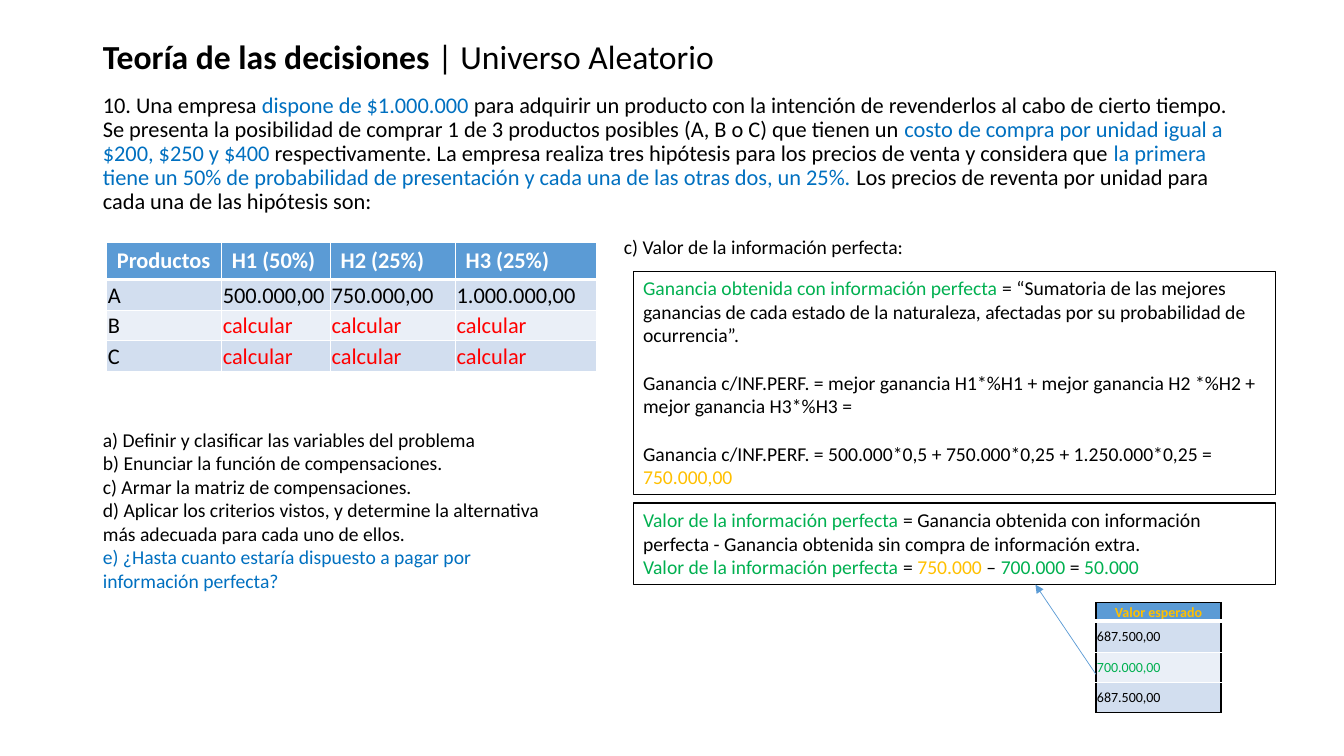
from dataclasses import dataclass
from lxml import etree
from pptx import Presentation
from pptx.dml.color import RGBColor
from pptx.enum.shapes import MSO_CONNECTOR, MSO_SHAPE
from pptx.enum.text import MSO_ANCHOR, MSO_AUTO_SIZE, PP_ALIGN
from pptx.oxml.ns import qn
from pptx.util import Inches, Pt

TOP, MIDDLE = MSO_ANCHOR.TOP, MSO_ANCHOR.MIDDLE
LEFT, CENTER = PP_ALIGN.LEFT, PP_ALIGN.CENTER
NO_FIT = MSO_AUTO_SIZE.NONE
RECTANGLE, STRAIGHT = MSO_SHAPE.RECTANGLE, MSO_CONNECTOR.STRAIGHT


@dataclass(frozen=True)
class Theme:
    font: str = "Calibri"
    black: str = "000000"
    white: str = "FFFFFF"
    blue: str = "0070C0"
    green: str = "00B050"
    amber: str = "FFC000"
    red: str = "FF0000"
    header: str = "5B9BD5"
    bands: tuple = ("D2DEEF", "EAEFF7")
    title: int = 24
    statement: int = 16
    text: int = 14
    small: int = 10
    blank_line: int = 17


THEME = Theme()
BLACK, BLUE, GREEN, AMBER = THEME.black, THEME.blue, THEME.green, THEME.amber

TITLE = [[("Teoría de las decisiones ", BLACK, True), ("| Universo Aleatorio", BLACK)]]
STATEMENT = [[
    ("10. Una empresa ", BLACK),
    ("dispone de $1.000.000 ", BLUE),
    ("para adquirir un producto con la intención de revenderlos al cabo de cierto tiempo. "
     "Se presenta la posibilidad de comprar 1 de 3 productos posibles (A, B o C) que tienen un ", BLACK),
    ("costo de compra por unidad igual a $200, $250 y $400 ", BLUE),
    ("respectivamente. La empresa realiza tres hipótesis para los precios de venta y considera que ", BLACK),
    ("la primera tiene un 50% de probabilidad de presentación y cada una de las otras dos, un 25%.", BLUE),
    (" Los precios de reventa por unidad para cada una de las hipótesis son:", BLACK),
]]
QUESTIONS = [
    [("a) Definir y clasificar las variables del problema", BLACK)],
    [("b) Enunciar la función de compensaciones.", BLACK)],
    [("c) Armar la matriz de compensaciones.", BLACK)],
    [("d) Aplicar los criterios vistos, y determine la alternativa más adecuada para cada uno de ellos.", BLACK)],
    [("e) ¿Hasta cuanto estaría dispuesto a pagar por información perfecta?", BLUE)],
]
SUBTITLE = [[("c) Valor de la información perfecta:", BLACK)]]
PERFECT_GAIN = [
    [("Ganancia obtenida con información perfecta ", GREEN),
     ("= “Sumatoria de las mejores ganancias de cada estado de la naturaleza, "
      "afectadas por su probabilidad de ocurrencia”.", BLACK)],
    [("Ganancia c/INF.PERF. = mejor ganancia H1*%H1 + mejor ganancia H2 *%H2 + mejor ganancia H3*%H3 =", BLACK)],
    [("Ganancia c/INF.PERF. = 500.000*0,5 + 750.000*0,25 + 1.250.000*0,25 = ", BLACK),
     ("750.000,00", AMBER)],
]
PERFECT_VALUE = [
    [("Valor de la información perfecta ", GREEN),
     ("= Ganancia obtenida con información perfecta - Ganancia obtenida sin compra de información extra.", BLACK)],
    [("Valor de la información perfecta ", GREEN), ("= ", BLACK), ("750.000", AMBER),
     (" – ", BLACK), ("700.000", GREEN), (" = ", BLACK), ("50.000", GREEN)],
]
PAYOFFS = [
    ["Productos", "H1 (50%)", "H2 (25%)", "H3 (25%)"],
    ["A", "500.000,00", "750.000,00", "1.000.000,00"],
    ["B", "calcular", "calcular", "calcular"],
    ["C", "calcular", "calcular", "calcular"],
]
EXPECTED = [["Valor esperado"], ["687.500,00"], ["700.000,00"], ["687.500,00"]]
HIGHLIGHTS = {"calcular": THEME.red, "700.000,00": GREEN, "Valor esperado": AMBER}
BODY_ROWS = [0.31, 0.3, 0.3]


def rgb(color):
    return RGBColor.from_string(color)


def write(frame, paragraphs, size, anchor=TOP, align=LEFT, before=0, gap=0, spacing=1.0):
    frame.word_wrap = True
    frame.auto_size = NO_FIT
    frame.vertical_anchor = anchor
    for index, runs in enumerate(paragraphs):
        paragraph = frame.add_paragraph() if index else frame.paragraphs[0]
        paragraph.alignment = align
        paragraph.line_spacing = spacing
        paragraph.space_before = Pt(gap if index else before)
        paragraph.space_after = Pt(0)
        properties = paragraph._p.get_or_add_pPr()
        properties.set("marL", "0")
        properties.set("indent", "0")
        etree.SubElement(properties, qn("a:buNone"))
        for text, color, *bold in runs:
            run = paragraph.add_run()
            run.text = text
            run.font.name = THEME.font
            run.font.size = Pt(size)
            run.font.bold = bool(bold)
            run.font.color.rgb = rgb(color)


def place(shape, left, top, width, height):
    shape.left, shape.top = Inches(left), Inches(top)
    shape.width, shape.height = Inches(width), Inches(height)
    return shape


def add_box(slide, area, paragraphs, gap=0):
    box = slide.shapes.add_shape(RECTANGLE, *map(Inches, area))
    box.shadow.inherit = False
    box.fill.background()
    box.line.color.rgb = rgb(BLACK)
    box.line.width = Pt(0.75)
    write(box.text_frame, paragraphs, THEME.text, gap=gap)


def set_border(cell, side, color, width):
    line = etree.SubElement(cell._tc.get_or_add_tcPr(), qn("a:ln" + side), w=str(Pt(width)))
    fill = etree.SubElement(line, qn("a:solidFill"))
    etree.SubElement(fill, qn("a:srgbClr"), val=color)


def add_grid(slide, left, top, rows, widths, header_height, size, outline, padded_header, header_align):
    heights = [header_height, *BODY_ROWS]
    frame = slide.shapes.add_table(len(rows), len(widths), Inches(left), Inches(top),
                                   Inches(sum(widths)), Inches(sum(heights)))
    grid = frame.table
    for column, width in zip(grid.columns, widths):
        column.width = Inches(width)
    for r, (values, height) in enumerate(zip(rows, heights)):
        grid.rows[r].height = Inches(height)
        for c, value in enumerate(values):
            cell = grid.cell(r, c)
            is_header, is_last = r == 0, r == len(rows) - 1
            if not (is_header and padded_header):
                cell.margin_left = cell.margin_right = cell.margin_top = Inches(0.01)
                cell.margin_bottom = 0
            set_border(cell, "L", outline, 1)
            set_border(cell, "R", outline, 1)
            set_border(cell, "T", outline if is_header else THEME.white, 3 if r == 1 else 1)
            set_border(cell, "B", outline if is_last else THEME.white, 3 if is_header else 1)
            cell.fill.solid()
            cell.fill.fore_color.rgb = rgb(THEME.header if is_header else THEME.bands[(r - 1) % 2])
            color = HIGHLIGHTS.get(value, THEME.white if is_header else BLACK)
            run = (value, color, True) if is_header else (value, color)
            anchor = TOP if is_header and padded_header else MIDDLE
            write(cell.text_frame, [[run]], size, align=header_align if is_header else LEFT)
            cell.vertical_anchor = anchor


def add_arrow(slide, start, end):
    arrow = slide.shapes.add_connector(STRAIGHT, *map(Inches, (*start, *end)))
    arrow.line.color.rgb = rgb(THEME.header)
    arrow.line.width = Pt(0.5)
    etree.SubElement(arrow.line._get_or_add_ln(), qn("a:tailEnd"), type="triangle")
    etree.SubElement(arrow._element.spPr, qn("a:effectLst"))


def main():
    deck = Presentation()
    deck.slide_width, deck.slide_height = Inches(13.33), Inches(7.5)
    slide = deck.slides.add_slide(deck.slide_layouts[3])
    title, statement, questions = list(slide.placeholders)[:3]
    place(title, 0.92, 0.26, 11.5, 0.65)
    place(statement, 0.92, 0.88, 11.5, 1.31)
    place(questions, 0.92, 4.19, 4.79, 1.75)
    write(title.text_frame, TITLE, THEME.title, anchor=MIDDLE, spacing=0.9)
    write(statement.text_frame, STATEMENT, THEME.statement, before=10, spacing=0.9)
    write(questions.text_frame, QUESTIONS, THEME.text)

    subtitle = slide.shapes.add_textbox(*map(Inches, (6.09, 2.28, 6.23, 0.34)))
    write(subtitle.text_frame, SUBTITLE, THEME.text)
    add_box(slide, (6.28, 2.69, 6.37, 2.22), PERFECT_GAIN, gap=THEME.blank_line)
    add_box(slide, (6.28, 4.99, 6.37, 0.81), PERFECT_VALUE)

    add_grid(slide, 1.06, 2.4, PAYOFFS, [1.14, 1.08, 1.24, 1.4], 0.37,
             THEME.statement, THEME.white, True, LEFT)
    add_grid(slide, 10.87, 5.98, EXPECTED, [1.24], 0.18,
             THEME.small, BLACK, False, CENTER)
    add_arrow(slide, (10.87, 6.69), (10.27, 5.8))
    deck.save("out.pptx")


if __name__ == "__main__":
    main()
